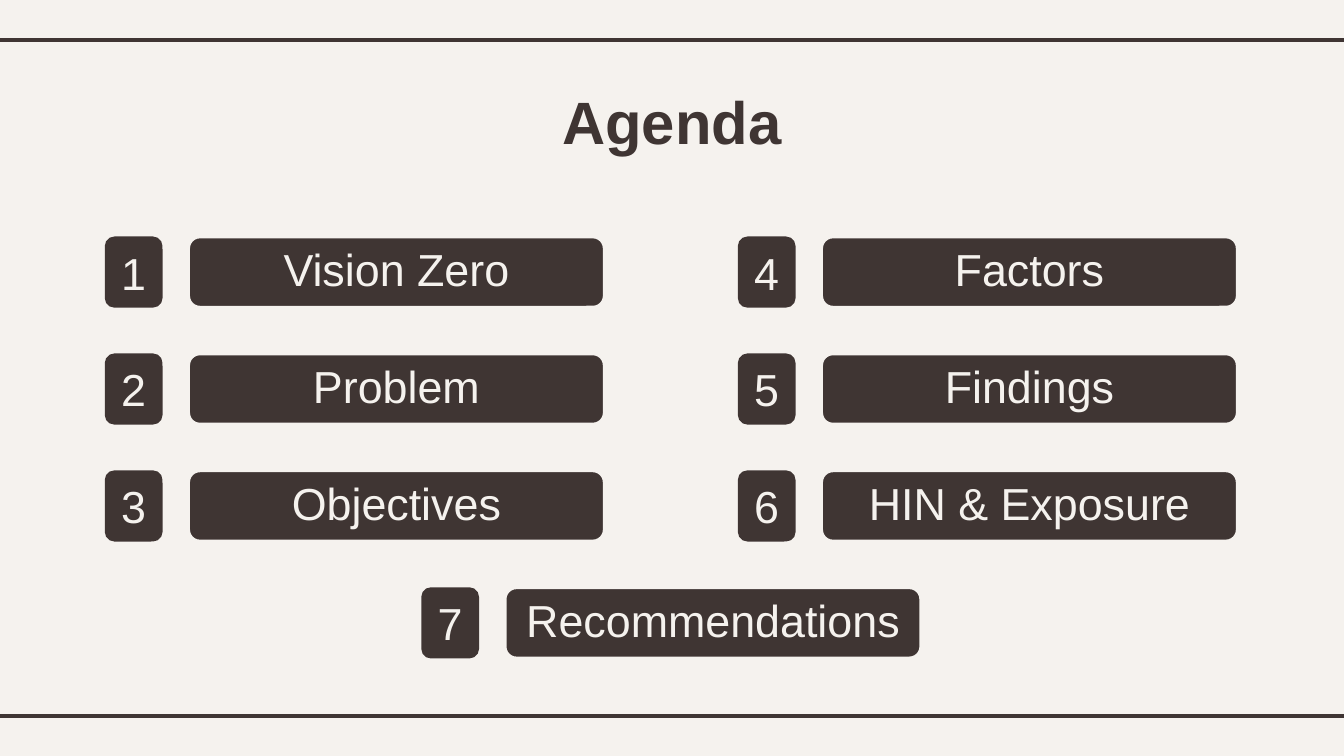
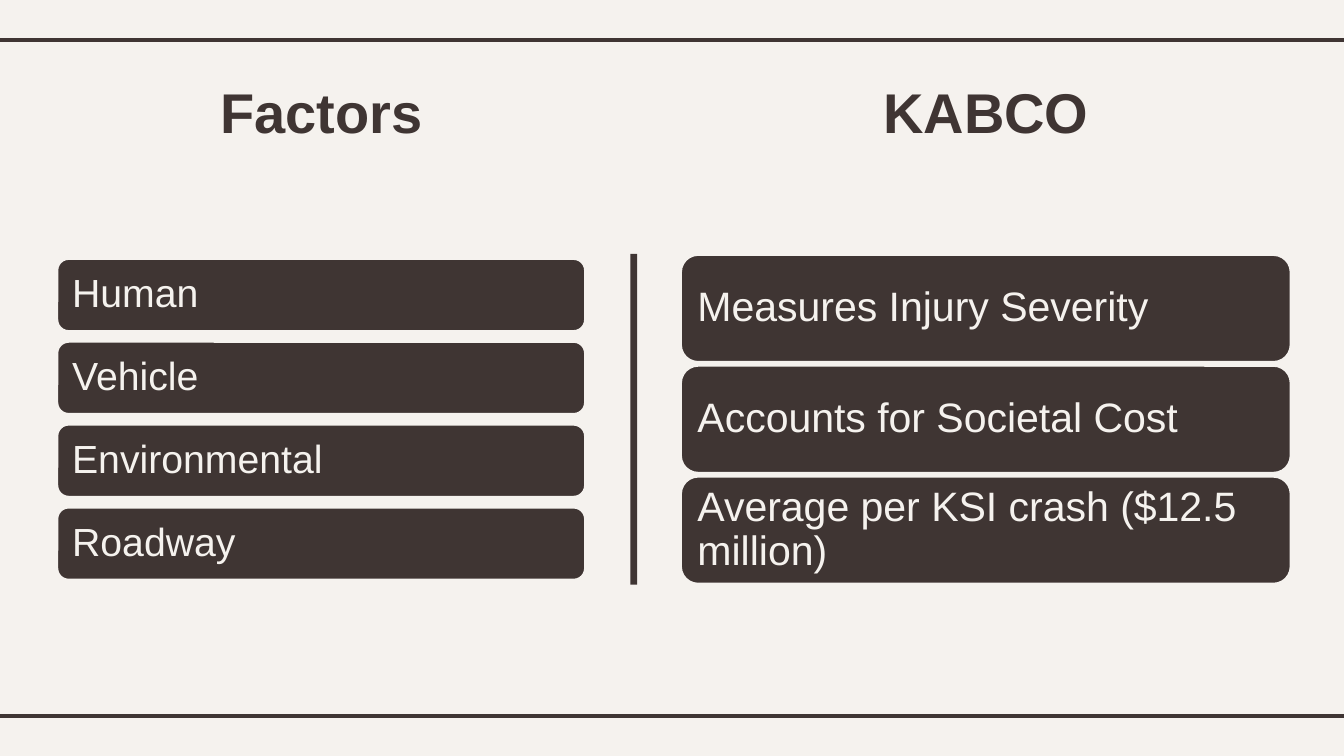
import pptx
import pptx.dml.color
import pptx.enum.shapes
import pptx.enum.text
import pptx.oxml.ns
import pptx.util
from lxml import etree

Inches = pptx.util.Inches
Pt = pptx.util.Pt
RGB = pptx.dml.color.RGBColor.from_string
SHAPE = pptx.enum.shapes.MSO_SHAPE
ALIGN = pptx.enum.text.PP_ALIGN
ANCHOR = pptx.enum.text.MSO_ANCHOR

# Content
AGENDA_TITLE = "Agenda"
AGENDA = ["Vision Zero", "Problem", "Objectives",
          "Factors", "Findings", "HIN & Exposure", "Recommendations"]
PANELS = [
    dict(title="Factors", left=0.42, width=3.94, top=1.92, last_top=3.77,
         height=0.55, size="factor",
         items=["Human", "Vehicle", "Environmental", "Roadway"]),
    dict(title="KABCO", left=5.06, width=4.55, top=1.89, last_top=3.54,
         height=0.81, size="kabco",
         items=["Measures Injury Severity", "Accounts for Societal Cost",
                "Average per KSI crash ($12.5 million)"]),
]


class Theme:
    font = "Arial"
    dark = RGB("3F3533")
    light = RGB("F5F2EE")
    sizes = dict(title=32, panel_title=30, agenda=24, factor=21, kabco=22)
    rule = 2.25
    outline = 2
    rule_tops = (0.3, 5.33)


def put_text(sp, text, size, color, align=ALIGN.CENTER, anchor=ANCHOR.MIDDLE,
             insets=(0, 0, 0, 0), spacing=None, bold=False):
    tf = sp.text_frame
    sides = ("margin_left", "margin_top", "margin_right", "margin_bottom")
    frame = dict(word_wrap=True, vertical_anchor=anchor)
    frame.update((side, Inches(inset)) for side, inset in zip(sides, insets))
    p = tf.paragraphs[0]
    r = p.add_run()
    r.text = text
    formats = [
        (tf, frame),
        (p, dict(alignment=align, line_spacing=spacing)),
        (r.font, dict(name=Theme.font, size=Pt(Theme.sizes[size]), bold=bold)),
    ]
    for target, values in formats:
        for name, value in values.items():
            setattr(target, name, value)
    r.font.color.rgb = color


def add_block(shapes, kind, left, top, width, height, outlined=False):
    sp = shapes.add_shape(kind, Inches(left), Inches(top),
                          Inches(width), Inches(height))
    sp.shadow.inherit = False
    sp.fill.solid()
    sp.fill.fore_color.rgb = Theme.dark
    if outlined:
        sp.line.color.rgb = Theme.light
        sp.line.width = Pt(Theme.outline)
    else:
        sp.line.fill.background()
    return sp


def add_title(slide, text, left, top, width, size):
    sp = slide.shapes.add_textbox(Inches(left), Inches(top),
                                  Inches(width), Inches(0.63))
    put_text(sp, text, size, Theme.dark, anchor=ANCHOR.TOP,
             insets=(0.1, 0.1, 0.1, 0.1), bold=True)


def new_slide(prs):
    slide = prs.slides.add_slide(prs.slide_layouts[6])
    slide.background.fill.solid()
    slide.background.fill.fore_color.rgb = Theme.light
    # Rules along the top and bottom
    for top in Theme.rule_tops:
        rule = slide.shapes.add_connector(
            pptx.enum.shapes.MSO_CONNECTOR.STRAIGHT,
            Inches(-0.08), Inches(top), Inches(10.08), Inches(top))
        rule.line.color.rgb = Theme.dark
        rule.line.width = Pt(Theme.rule)
        etree.SubElement(rule._element.spPr,
                         pptx.oxml.ns.qn("a:effectLst"))
    return slide


def build_agenda(prs):
    slide = new_slide(prs)
    add_title(slide, AGENDA_TITLE, 0.78, 0.53, 8.44, "title")
    columns, rows = (0.78, 5.49), 3
    top, pitch, height = 1.76, 0.87, 0.53
    for i, label in enumerate(AGENDA):
        col, row = divmod(i, rows)
        # The last entry sits centred below the two columns
        if col < len(columns):
            left = columns[col]
        else:
            left, row = sum(columns) / 2, rows
        y = top + row * pitch
        shapes = slide.shapes.add_group_shape().shapes
        number = add_block(shapes, SHAPE.ROUNDED_RECTANGLE,
                           left, y, 0.43, height)
        put_text(number, str(i + 1), "agenda", Theme.light)
        bar = add_block(shapes, SHAPE.ROUNDED_RECTANGLE,
                        left + 0.62, y, 3.1, height, outlined=True)
        put_text(bar, label, "agenda", Theme.light, spacing=0.9,
                 insets=(0.02, 0.02, 0.02, 0.02))


def build_factors(prs):
    slide = new_slide(prs)
    for panel in PANELS:
        left, width, items = panel["left"], panel["width"], panel["items"]
        add_title(slide, panel["title"], left, 0.48, width, "panel_title")
        pitch = (panel["last_top"] - panel["top"]) / (len(items) - 1)
        shapes = slide.shapes.add_group_shape().shapes
        for i, item in enumerate(items):
            bar = add_block(shapes, SHAPE.ROUNDED_RECTANGLE, left,
                            panel["top"] + i * pitch,
                            width, panel["height"], outlined=True)
            put_text(bar, item, panel["size"], Theme.light, ALIGN.LEFT,
                     insets=(0.09, 0.02, 0.09, 0.02), spacing=0.9)
    # Divider between the panels
    add_block(slide.shapes, SHAPE.RECTANGLE, 4.69, 1.89, 0.05, 2.46)


def main():
    prs = pptx.Presentation()
    prs.slide_width = Inches(10)
    prs.slide_height = Inches(10 * 9 / 16)
    build_agenda(prs)
    build_factors(prs)
    prs.save("out.pptx")


if __name__ == "__main__":
    main()
